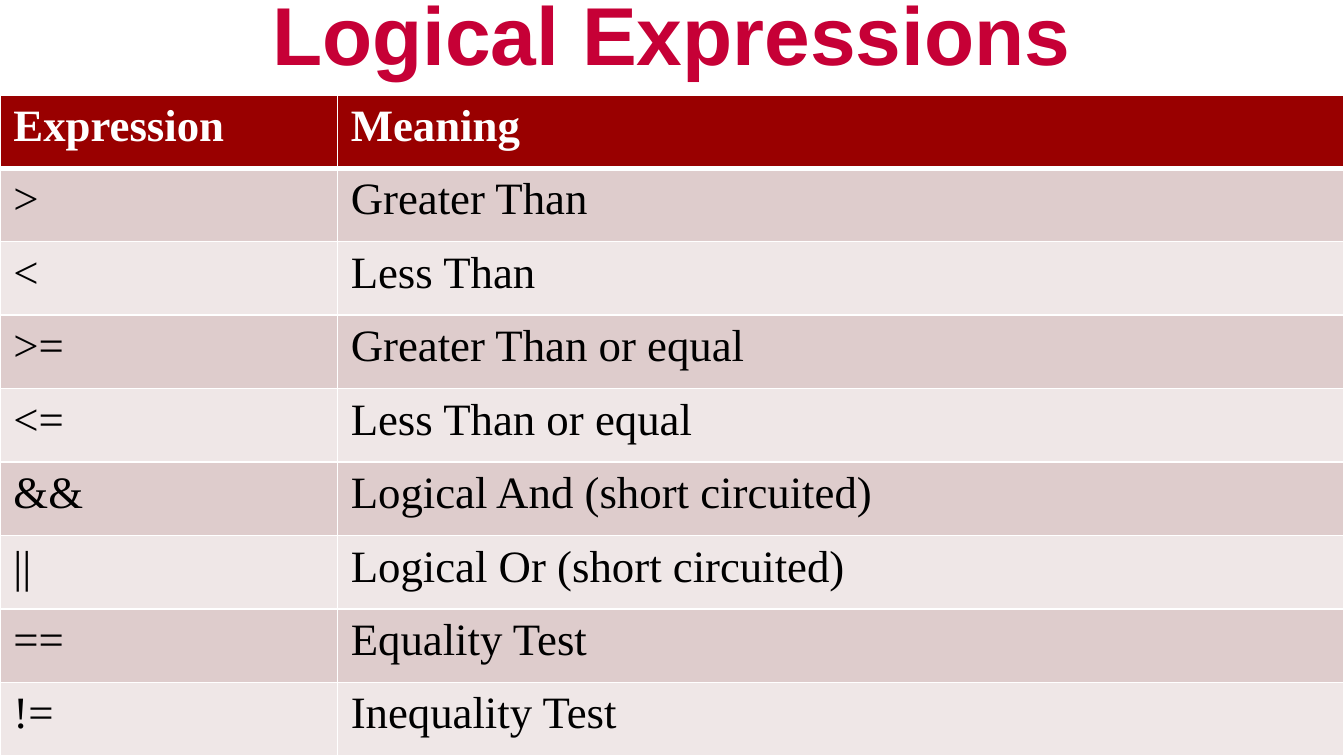
from lxml.etree import SubElement
from pptx import Presentation
from pptx.dml.color import RGBColor
from pptx.enum.text import MSO_ANCHOR, PP_ALIGN
from pptx.oxml.ns import qn
from pptx.util import Inches, Pt

TITLE = "Logical Expressions"
ROWS = [
    ("Expression", "Meaning"),
    (">", "Greater Than"),
    ("<", "Less Than"),
    (">=", "Greater Than or equal"),
    ("<=", "Less Than or equal"),
    ("&&", "Logical And (short circuited)"),
    ("||", "Logical Or (short circuited)"),
    ("==", "Equality Test"),
    ("!=", "Inequality Test"),
]
COLUMN_WIDTHS = (2.51, 7.49)
SLIDE_WIDTH = 10
SLIDE_HEIGHT = SLIDE_WIDTH * 9 / 16
TABLE_HEIGHT = 4.92
TITLE_TOP, TITLE_HEIGHT = 0.23, 0.75

THEME = {
    "title": {"name": "Arial", "size": Pt(44), "bold": True, "color": "C60036"},
    "header": {"name": "Times New Roman", "size": Pt(24), "bold": True, "color": "FFFFFF"},
    "body": {"name": "Times New Roman", "size": Pt(24), "bold": False, "color": "000000"},
    "header_fill": "990000",
    "bands": ("DECCCC", "EFE7E7"),
    "border": "FFFFFF",
}


def write(frame, text, style):
    para = frame.paragraphs[0]
    span = para.add_run()
    span.text = text
    for name, value in style.items():
        if name == "color":
            span.font.color.rgb = RGBColor.from_string(value)
        else:
            setattr(span.font, name, value)
    return para


def add_borders(cell, widths):
    properties = cell._tc.get_or_add_tcPr()
    for index, (side, width) in enumerate(widths.items()):
        line = SubElement(properties, qn(f"a:ln{side}"), w=str(Pt(width)))
        fill = SubElement(line, qn("a:solidFill"))
        SubElement(fill, qn("a:srgbClr"), val=THEME["border"])
        properties.insert(index, line)


def add_title(page):
    box = page.shapes.add_textbox(
        0, Inches(TITLE_TOP), Inches(SLIDE_WIDTH), Inches(TITLE_HEIGHT)
    )
    layout = {
        "word_wrap": True,
        "vertical_anchor": MSO_ANCHOR.MIDDLE,
        "margin_top": 0,
        "margin_bottom": Inches(0.73),
    }
    for name, value in layout.items():
        setattr(box.text_frame, name, value)
    write(box.text_frame, TITLE, THEME["title"]).alignment = PP_ALIGN.CENTER


def add_expressions(page):
    table = page.shapes.add_table(
        len(ROWS), len(COLUMN_WIDTHS), 0, Inches(SLIDE_HEIGHT - TABLE_HEIGHT),
        Inches(SLIDE_WIDTH), Inches(TABLE_HEIGHT),
    ).table
    for column, width in zip(table.columns, COLUMN_WIDTHS):
        column.width = Inches(width)
    for row, texts in enumerate(ROWS):
        table.rows[row].height = Inches(TABLE_HEIGHT / len(ROWS))
        style = THEME["body"] if row else THEME["header"]
        color = THEME["bands"][(row - 1) % 2] if row else THEME["header_fill"]
        widths = {"L": 1, "R": 1, "T": 3 if row == 1 else 1, "B": 1 if row else 3}
        for column, text in enumerate(texts):
            cell = table.cell(row, column)
            cell.fill.solid()
            cell.fill.fore_color.rgb = RGBColor.from_string(color)
            add_borders(cell, widths)
            write(cell.text_frame, text, style)


def main():
    deck = Presentation()
    deck.slide_width = Inches(SLIDE_WIDTH)
    deck.slide_height = Inches(SLIDE_HEIGHT)
    page = deck.slides.add_slide(deck.slide_layouts[6])
    add_title(page)
    add_expressions(page)
    deck.save("out.pptx")


if __name__ == "__main__":
    main()
